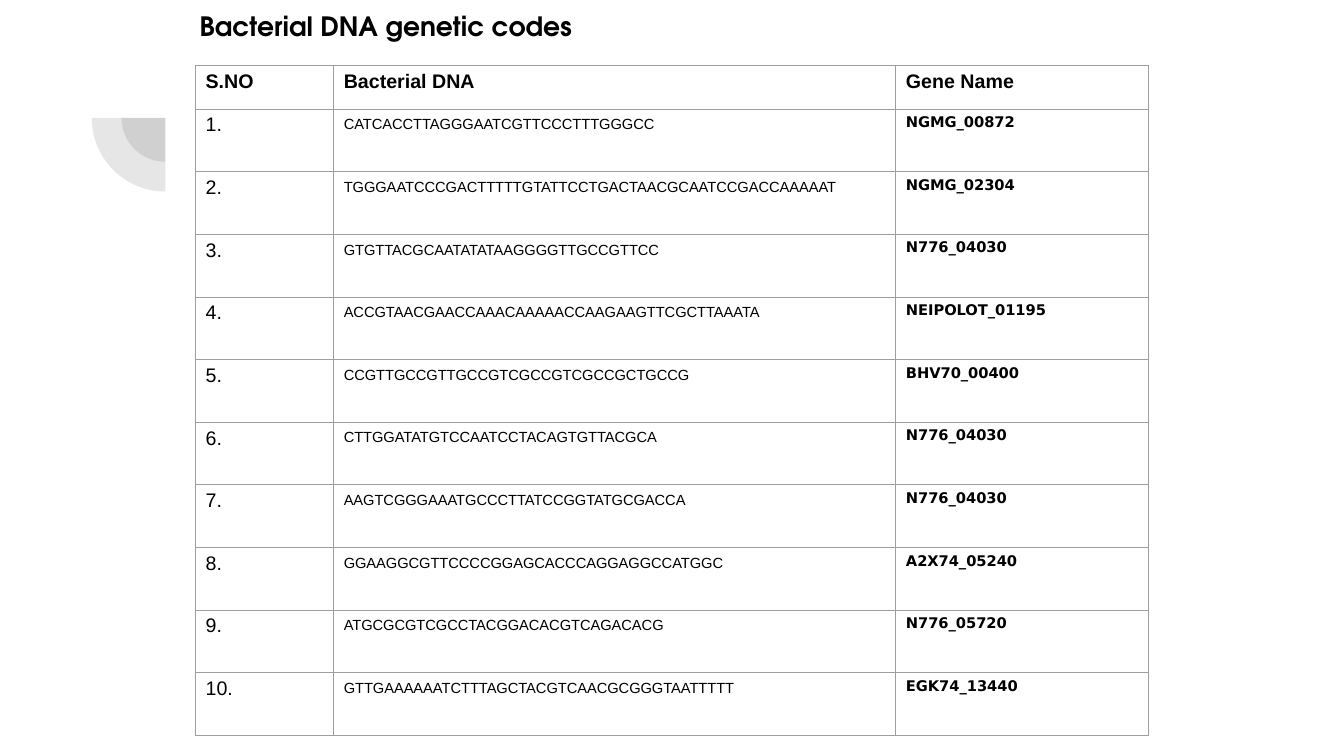
import pptx
import pptx.util
import pptx.dml.color
import pptx.enum.shapes
import pptx.enum.text
import pptx.oxml
import pptx.oxml.ns

BLACK = pptx.dml.color.RGBColor(0, 0, 0)
GRAY = pptx.dml.color.RGBColor(0x42, 0x42, 0x42)
RULE = pptx.dml.color.RGBColor(0x9E, 0x9E, 0x9E)
WIDE = pptx.util.Inches(13.33)
HIGH = pptx.util.Inches(7.5)
PAD = pptx.util.Inches(0.1)
HEAD = ("S.NO", "Bacterial DNA", "Gene Name")
GENES = [
    ("CATCACCTTAGGGAATCGTTCCCTTTGGGCC", "NGMG_00872"),
    ("TGGGAATCCCGACTTTTTGTATTCCTGACTAACGCAATCCGACCAAAAAT", "NGMG_02304"),
    ("GTGTTACGCAATATATAAGGGGTTGCCGTTCC", "N776_04030"),
    ("ACCGTAACGAACCAAACAAAAACCAAGAAGTTCGCTTAAATA", "NEIPOLOT_01195"),
    ("CCGTTGCCGTTGCCGTCGCCGTCGCCGCTGCCG", "BHV70_00400"),
    ("CTTGGATATGTCCAATCCTACAGTGTTACGCA", "N776_04030"),
    ("AAGTCGGGAAATGCCCTTATCCGGTATGCGACCA", "N776_04030"),
    ("GGAAGGCGTTCCCCGGAGCACCCAGGAGGCCATGGC", "A2X74_05240"),
    ("ATGCGCGTCGCCTACGGACACGTCAGACACG", "N776_05720"),
    ("GTTGAAAAAATCTTTAGCTACGTCAACGCGGGTAATTTTT", "EGK74_13440"),
]
LOOKS = (
    {"size": 14},
    {"size": 10.5, "space": 1.15},
    {"size": 10.5, "font": "DejaVu Sans", "bold": True},
)


def across(share):
    """Turn a percentage of the slide width into a length."""
    return round(WIDE * share / 100)


def down(share):
    """Turn a percentage of the slide height into a length."""
    return round(HIGH * share / 100)


def write(frame, text, size=14, font="Arial", bold=False, space=None):
    """Put one formatted line of text into a frame."""
    frame.margin_left = frame.margin_right = PAD
    frame.margin_top = frame.margin_bottom = PAD
    line = frame.paragraphs[0]
    line.alignment = pptx.enum.text.PP_ALIGN.LEFT
    if space:
        line.line_spacing = space
    run = line.add_run()
    run.text = text
    run.font.size = pptx.util.Pt(size)
    run.font.name = font
    run.font.bold = bold
    run.font.color.rgb = BLACK


def edge(cell):
    """Draw thin rules round a cell and clear its fill."""
    props = cell._tc.get_or_add_tcPr()
    for side in ("lnL", "lnR", "lnT", "lnB"):
        props.append(pptx.oxml.parse_xml(
            f'<a:{side} {pptx.oxml.ns.nsdecls("a")} w="{pptx.util.Pt(0.75)}">'
            f'<a:solidFill><a:srgbClr val="{RULE}"/></a:solidFill></a:{side}>'))
    cell.fill.background()


def fans(slide, mid, top, sizes):
    """Draw pale quarter circles round one centre."""
    for size in sizes:
        side = across(size)
        pie = slide.shapes.add_shape(
            pptx.enum.shapes.MSO_SHAPE.PIE,
            across(mid) - side // 2, down(top) - side // 2, side, side)
        pie.adjustments[0] = 108
        pie.adjustments[1] = 162
        pie.rotation = 270
        pie.shadow.inherit = False
        pie.line.fill.background()
        pie.fill.solid()
        pie.fill.fore_color.rgb = GRAY
        tint = pie.fill._xPr.find(".//" + pptx.oxml.ns.qn("a:srgbClr"))
        tint.append(pptx.oxml.parse_xml(
            f'<a:alpha {pptx.oxml.ns.nsdecls("a")} val="13000"/>'))


def chart(slide, left, top, wide, high):
    """Lay out the gene table in the given box."""
    frame = slide.shapes.add_table(
        len(GENES) + 1, len(HEAD),
        across(left), down(top), across(wide), down(high))
    table = frame.table
    table.first_row = table.horz_banding = False
    for col, share in zip(table.columns, (0.145, 0.59, 0.265)):
        col.width = across(wide * share)
    first = 0.065
    for spot, row in enumerate(table.rows):
        share = (1 - first) / len(GENES) if spot else first
        row.height = down(high * share)
    for spot, cell in enumerate(table.rows[0].cells):
        edge(cell)
        write(cell.text_frame, HEAD[spot], bold=True)
    for num, gene in enumerate(GENES, 1):
        texts = (f"{num}.", *gene)
        for cell, text, look in zip(table.rows[num].cells, texts, LOOKS):
            edge(cell)
            write(cell.text_frame, text, **look)


def title(slide, left, top, wide, high):
    """Place the heading in the given box."""
    head = slide.shapes.title
    head.left, head.top = across(left), down(top)
    head.width, head.height = across(wide), down(high)
    frame = head.text_frame
    frame.word_wrap = True
    frame.auto_size = pptx.enum.text.MSO_AUTO_SIZE.SHAPE_TO_FIT_TEXT
    frame.vertical_anchor = pptx.enum.text.MSO_ANCHOR.TOP
    write(frame, "Bacterial DNA genetic codes", size=19,
          font="TeX Gyre Adventor", bold=True)


def main():
    """Build and save the slide."""
    deck = pptx.Presentation()
    deck.slide_width, deck.slide_height = WIDE, HIGH
    slide = deck.slides.add_slide(deck.slide_layouts[5])
    fans(slide, 12.3, 15.6, (6.53, 10.95))
    chart(slide, 14.55, 8.67, 70.9, 88.6)
    title(slide, 14.1, 0, 70.74, 6.93)
    deck.save("out.pptx")


if __name__ == "__main__":
    main()
